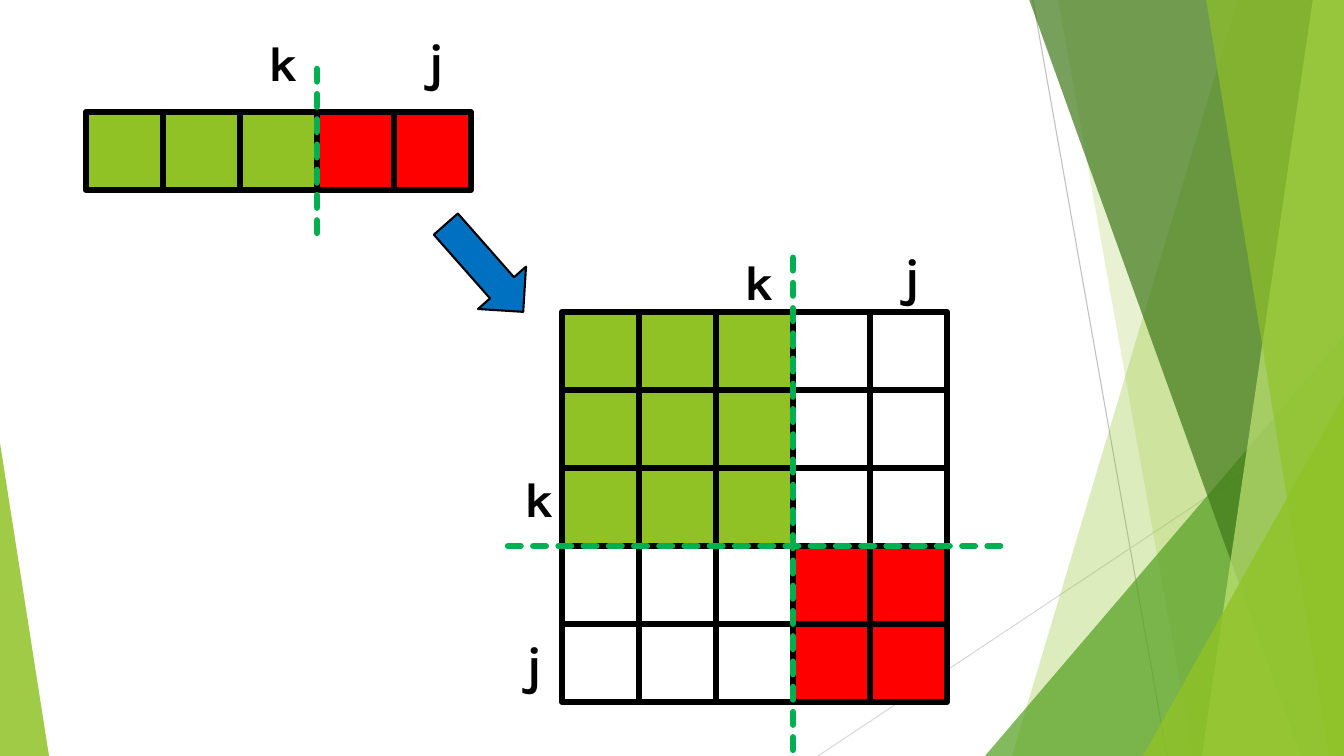
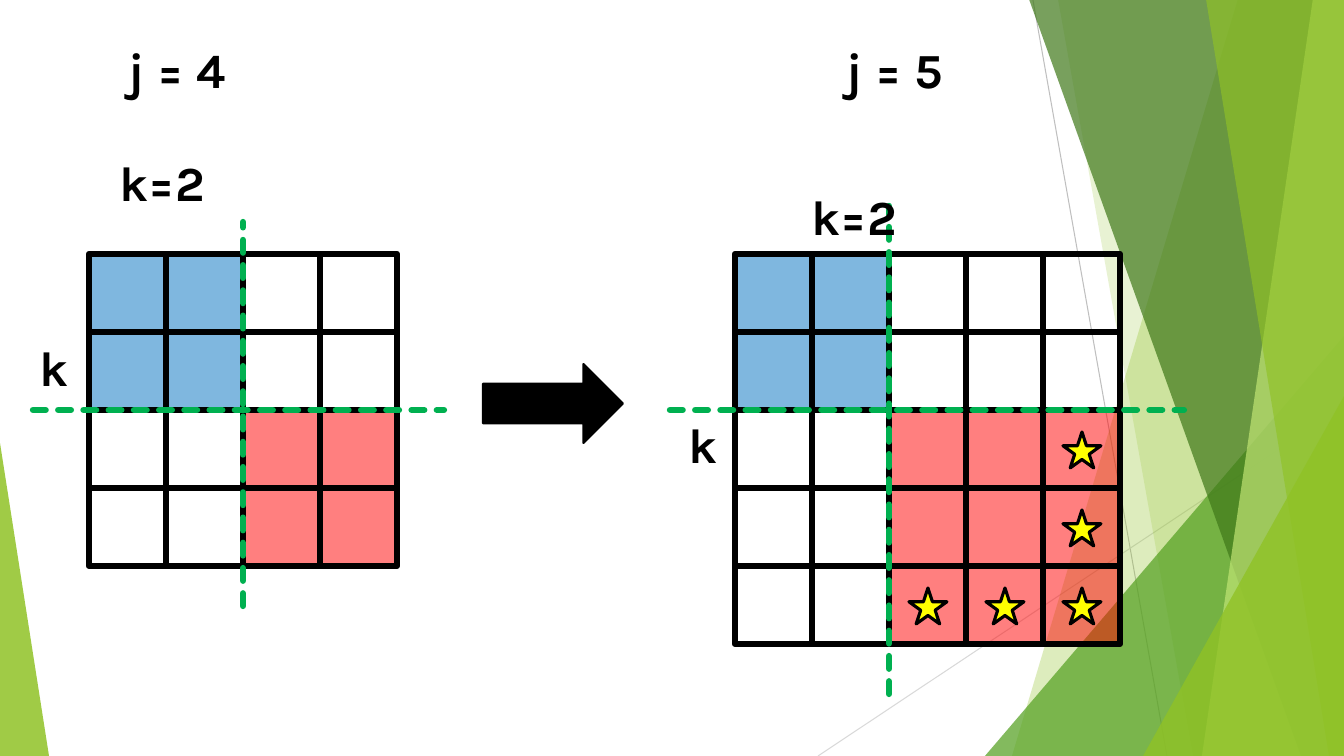
from lxml.etree import SubElement
from pptx import Presentation
from pptx.dml.color import RGBColor
from pptx.enum.dml import MSO_LINE
from pptx.enum.shapes import MSO_CONNECTOR, MSO_SHAPE
from pptx.enum.text import MSO_AUTO_SIZE
from pptx.oxml.ns import qn
from pptx.util import Pt

PX = 914400 / 100.8  # EMU per px
WIDE, HIGH = 1344, 756
CELL_W, CELL_H = 77, 78

BLACK = RGBColor(0x00, 0x00, 0x00)
RED = RGBColor(0xFF, 0x00, 0x00)
BLUE = RGBColor(0x00, 0x70, 0xC0)
YELLOW = RGBColor(0xFF, 0xFF, 0x00)
LIME = RGBColor(0x90, 0xC2, 0x26)
PALE = RGBColor(0xC0, 0xE4, 0x74)
LEAF = RGBColor(0x54, 0xA0, 0x21)
MOSS = RGBColor(0x3F, 0x78, 0x19)
DASH = RGBColor(0x00, 0xB0, 0x50)
GREY = RGBColor(0xBF, 0xBF, 0xBF)
SILVER = RGBColor(0xD9, 0xD9, 0xD9)


def emu(*sizes):
    return [round(size * PX) for size in sizes]


class Deck:
    font = "Karla"
    size = 35

    def __init__(self):
        self.file = Presentation()
        self.file.slide_width, self.file.slide_height = emu(WIDE, HIGH)
        self.shapes = None

    def page(self):
        blank = self.file.slide_layouts[6]
        self.shapes = self.file.slides.add_slide(blank).shapes
        self.facets()

    # Shared backdrop of thin lines and green facets
    def facets(self):
        self.line(1033, 0, 1167, HIGH, GREY)
        self.line(WIDE, 406, 818, HIGH, SILVER)
        self.band(1238, 1012, LIME, 30)
        self.band(1058, 1193, LIME, 20)
        self.wedge(985, 336, 359, 1, LEAF, 72)
        self.band(1029, 1301, MOSS, 70)
        self.band(1313, 1202, PALE, 70)
        self.band(1206, 1329, LIME, 65)
        self.wedge(1143, 396, 201, 1, LIME, 80)
        self.wedge(0, 443, 49, 0, LIME, 85)

    def band(self, top, foot, fill, alpha):
        """Fill from a slanted left edge to the right side of the slide."""
        path = self.shapes.build_freeform(top, -1, scale=PX)
        path.add_line_segments([(WIDE, -1), (WIDE, HIGH), (foot, HIGH)])
        self.style(path.convert_to_shape(), fill, alpha)

    def wedge(self, x, y, w, peak, fill, alpha):
        tri = self.shape(MSO_SHAPE.ISOSCELES_TRIANGLE, x, y, w, HIGH - y,
                         fill, alpha)
        tri.adjustments[0] = peak

    # Basic elements
    def style(self, shape, fill=None, alpha=100, edge=0):
        shape.shadow.inherit = False
        if fill is None:
            shape.fill.background()
        else:
            shape.fill.solid()
            shape.fill.fore_color.rgb = fill
            if alpha < 100:
                tint = next(shape._element.iter(qn("a:srgbClr")))
                SubElement(tint, qn("a:alpha")).set("val", str(alpha * 1000))
        if edge:
            shape.line.color.rgb = BLACK
            shape.line.width = Pt(edge)
        else:
            shape.line.fill.background()

    def shape(self, kind, x, y, w, h, fill=None, alpha=100, edge=0):
        shape = self.shapes.add_shape(kind, *emu(x, y, w, h))
        self.style(shape, fill, alpha, edge)
        return shape

    def line(self, x1, y1, x2, y2, color, width=0.75, dash=False):
        line = self.shapes.add_connector(MSO_CONNECTOR.STRAIGHT,
                                         *emu(x1, y1, x2, y2))
        line.line.color.rgb = color
        line.line.width = Pt(width)
        props = line._element.spPr
        if dash:
            line.line.dash_style = MSO_LINE.SQUARE_DOT
            props.find(qn("a:ln")).set("cap", "rnd")
        SubElement(props, qn("a:effectLst"))

    def cut(self, x1, y1, x2, y2):
        self.line(x1, y1, x2, y2, DASH, 4.5, dash=True)

    def text(self, text, x, y, w=39, h=70, color=BLACK, bold=True):
        box = self.shapes.add_textbox(*emu(x, y, w, h))
        frame = box.text_frame
        frame.word_wrap = True
        frame.auto_size = MSO_AUTO_SIZE.SHAPE_TO_FIT_TEXT
        run = frame.paragraphs[0].add_run()
        run.text = text
        run.font.name = self.font
        run.font.size = Pt(self.size)
        run.font.bold = bold
        run.font.color.rgb = color

    def arrow(self, x, y, w, h, fill, turn=0):
        arrow = self.shape(MSO_SHAPE.RIGHT_ARROW, x, y, w, h, fill, edge=1.5)
        arrow.rotation = turn

    # Grids of cells
    def block(self, x, y, cols, rows, fill=None, alpha=100):
        for row in range(rows):
            for col in range(cols):
                self.shape(MSO_SHAPE.RECTANGLE,
                           x + col * CELL_W, y + row * CELL_H,
                           CELL_W, CELL_H, fill, alpha, edge=4.5)

    def matrix(self, x, y, size, k, first, last, alpha=100):
        """Square grid split after k, with both diagonal blocks filled."""
        rest = size - k
        mid_x, mid_y = x + k * CELL_W, y + k * CELL_H
        self.block(x, y, k, k, first, alpha)
        self.block(mid_x, y, rest, k)
        self.block(x, mid_y, k, rest)
        self.block(mid_x, mid_y, rest, rest, last, alpha)

    def star(self, x, y, col, row):
        self.shape(MSO_SHAPE.STAR_5_POINT,
                   x + col * CELL_W + 20, y + row * CELL_H + 22,
                   38, 36, YELLOW, edge=2.25)


def vector(deck):
    deck.page()

    # Matrix with its split
    deck.matrix(562, 312, 5, 3, LIME, RED)
    deck.cut(508, 546, 1008, 546)
    deck.cut(793, 750, 793, 252)
    deck.text("j", 895, 241, w=27)
    deck.text("j", 517, 629, w=33)
    deck.text("k", 515, 464)
    deck.text("k", 735, 247)

    # Row with its split
    deck.block(86, 112, 3, 1, LIME)
    deck.block(317, 112, 2, 1, RED)
    deck.text("k", 259, 28)
    deck.text("j", 419, 26, w=27)
    deck.arrow(426, 236, 117, 64, BLUE, turn=48.6)
    deck.cut(317, 233, 317, 67)


def growth(deck):
    deck.page()
    top = 254

    # Matrix for j = 4
    deck.matrix(89, top, 4, 2, BLUE, RED, alpha=50)
    deck.cut(33, 410, 444, 410)
    deck.cut(243, 606, 243, 222)
    deck.text("k", 30, 333)
    deck.text("k=2", 110, 148, w=182)
    deck.text("j = 4", 119, 35, w=144)

    deck.arrow(483, 364, 140, 79, BLACK)

    # Matrix for j = 5, with stars on the new cells
    left = 735
    deck.matrix(left, top, 5, 2, BLUE, RED, alpha=50)
    deck.cut(670, 410, 1184, 410)
    deck.cut(889, 694, 889, 206)
    deck.text("k", 679, 410)
    deck.text("k=2", 802, 182, w=182)
    deck.text("j = 5", 837, 35, w=144)
    for col, row in [(4, 2), (4, 3), (4, 4), (3, 4), (2, 4)]:
        deck.star(left, top, col, row)


def main():
    deck = Deck()
    vector(deck)
    growth(deck)
    deck.file.save("out.pptx")


if __name__ == "__main__":
    main()
